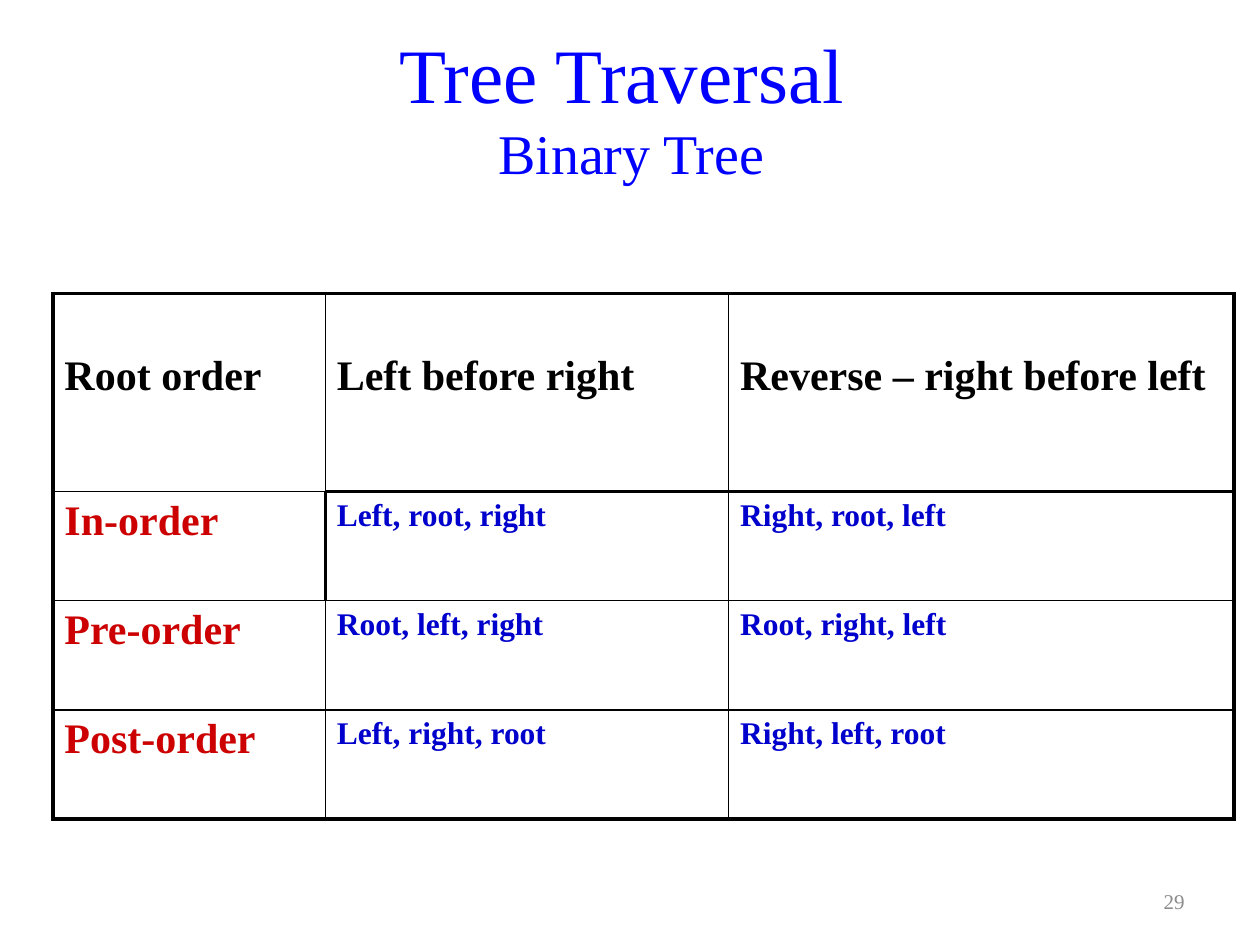
from dataclasses import dataclass

from lxml import etree
from pptx import Presentation
from pptx import util as u
from pptx.dml.color import RGBColor
from pptx.enum import text
from pptx.oxml.ns import qn

FONT = "Times New Roman"
THIN, THICK = 1, 2.25


@dataclass(frozen=True)
class Style:
    size: float
    color: str
    bold: bool = False


@dataclass(frozen=True)
class Box:
    left: float
    top: float
    width: float
    height: float

    def lengths(self) -> list[u.Length]:
        return [u.Cm(v) for v in (self.left, self.top, self.width, self.height)]


HEADER = Style(24, "000000", True)
ORDER = Style(24, "CC0000", True)
SEQUENCE = Style(18, "0000CC", True)

ROWS = [
    ("Root order", "Left before right", "Reverse – right before left"),
    ("In-order", "Left, root, right", "Right, root, left"),
    ("Pre-order", "Root, left, right", "Root, right, left"),
    ("Post-order", "Left, right, root", "Right, left, root"),
]
COL_WIDTHS = [5.49, 8.13, 10.19]
ROW_HEIGHTS = [3.99, 2.2, 2.2, 2.2]


def rgb(color: str) -> RGBColor:
    return RGBColor.from_string(color)


def add_run(p, words: str, style: Style) -> None:
    r = p.add_run()
    r.text = words
    r.font.name = FONT
    r.font.size = u.Pt(style.size)
    r.font.bold = style.bold
    r.font.color.rgb = rgb(style.color)


def add_textbox(s, box: Box, align):
    tf = s.shapes.add_textbox(*box.lengths()).text_frame
    tf.word_wrap = True
    tf.vertical_anchor = text.MSO_ANCHOR.MIDDLE
    p = tf.paragraphs[0]
    p.alignment = align
    return p


def border_widths(row: int, col: int) -> dict[str, float]:
    last_row, last_col = len(ROWS) - 1, len(COL_WIDTHS) - 1
    thick = {
        "L": col == 0 or (row, col) == (1, 1),
        "R": col == last_col or (row, col) == (1, 0),
        "T": row == 0 or (row == 1 and col > 0),
        "B": row == last_row or (row == 0 and col > 0),
    }
    return {side: THICK if heavy else THIN for side, heavy in thick.items()}


def set_borders(cell, widths: dict[str, float]) -> None:
    props = cell._tc.get_or_add_tcPr()
    for side, width in widths.items():
        ln = etree.SubElement(props, qn(f"a:ln{side}"), w=str(u.Pt(width)))
        fill = etree.SubElement(ln, qn("a:solidFill"))
        etree.SubElement(fill, qn("a:srgbClr"), val="000000")


def add_order_table(s, left: float, top: float) -> None:
    box = Box(left, top, sum(COL_WIDTHS), sum(ROW_HEIGHTS))
    table = s.shapes.add_table(len(ROWS), len(COL_WIDTHS), *box.lengths()).table
    table.first_row = table.horz_banding = False
    for column, width in zip(table.columns, COL_WIDTHS):
        column.width = u.Cm(width)
    for i, (row, height) in enumerate(zip(table.rows, ROW_HEIGHTS)):
        row.height = u.Cm(height)
        for j, words in enumerate(ROWS[i]):
            cell = table.cell(i, j)
            set_borders(cell, border_widths(i, j))
            cell.fill.background()
            cell.margin_left = cell.margin_right = u.Cm(0.23)
            cell.margin_top = u.Cm(1.2 if i == 0 else 0.13)
            cell.margin_bottom = u.Cm(0.13)
            style = HEADER if i == 0 else ORDER if j == 0 else SEQUENCE
            add_run(cell.text_frame.paragraphs[0], words, style)


def main() -> None:
    prs = Presentation()
    prs.slide_width, prs.slide_height = u.Cm(25.4), u.Cm(19.05)
    s = prs.slides.add_slide(prs.slide_layouts[6])

    p = add_textbox(s, Box(1.3, 0.33, 22.86, 3.61), text.PP_ALIGN.CENTER)
    add_run(p, "Tree Traversal ", Style(44, "0000FF"))
    p.add_line_break()
    add_run(p, "Binary Tree", Style(32, "0000FF"))

    add_order_table(s, 1.07, 5.92)

    p = add_textbox(s, Box(18.21, 17.65, 5.92, 1.02), text.PP_ALIGN.RIGHT)
    add_run(p, "29", Style(12, "8C8C8C"))

    prs.save("out.pptx")


if __name__ == "__main__":
    main()
